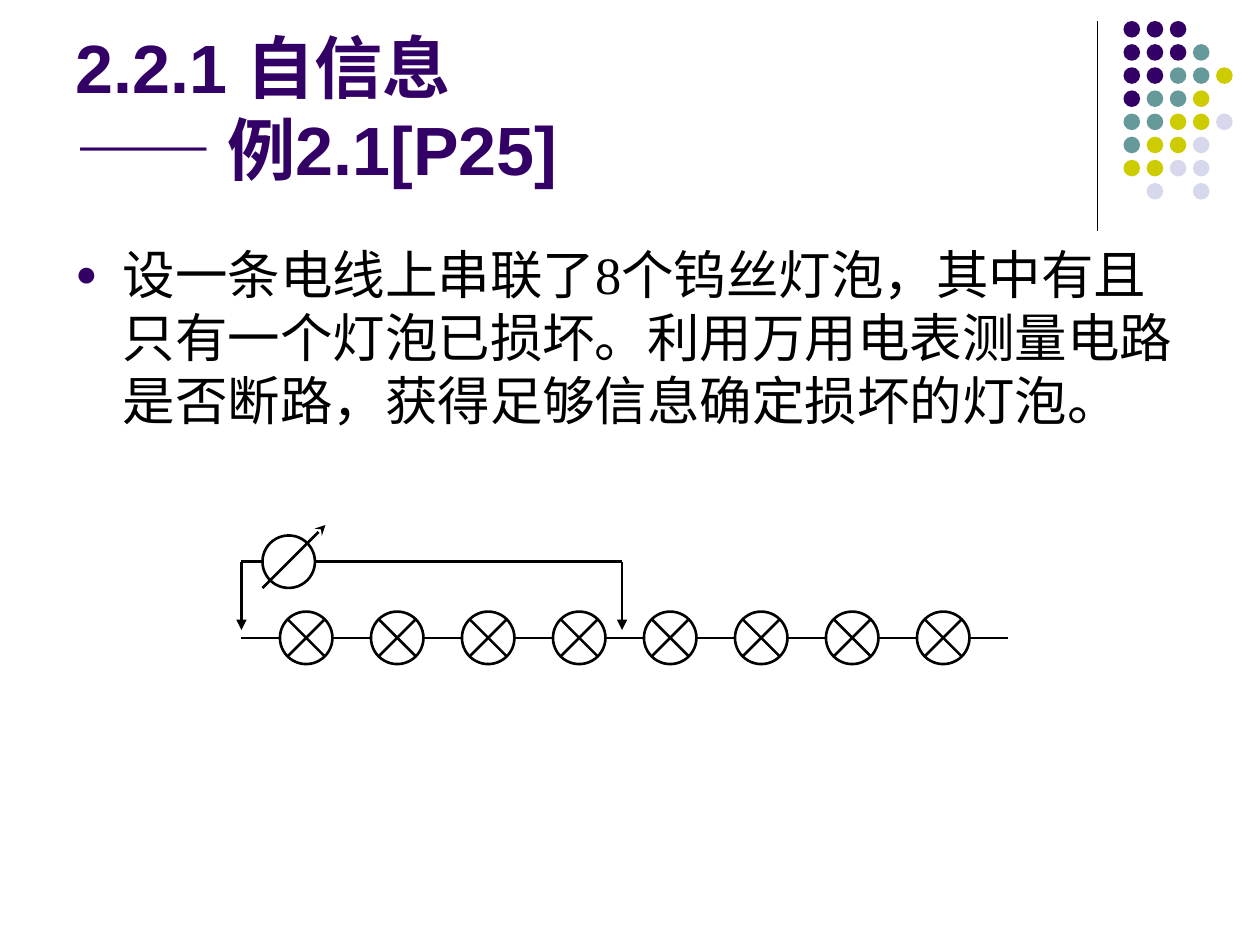
import pptx
import pptx.dml.color
import pptx.enum.shapes
import pptx.enum.text
import pptx.oxml.ns
import pptx.util
from lxml import etree

Pt = pptx.util.Pt
BLACK, PURPLE = "000000", "330066"
DOT_COLORS = {"P": PURPLE, "T": "669999", "Y": "CCCC00", "L": "D8D8EC"}
DOT_ROWS = ["PPP", "PPPT", "PPTTY", "PTTY", "TTYYL", "TYYL", "YYLL", " L L"]


def rgb(color):
    return pptx.dml.color.RGBColor.from_string(color)


def add_child(parent, tag, **attributes):
    return etree.SubElement(parent, pptx.oxml.ns.qn(tag), attributes)


def add_text(slide, box, text, size, font, color, bold=False, anchor="TOP", bullet=None):
    shape = slide.shapes.add_textbox(*map(Pt, box))
    frame = shape.text_frame
    frame.word_wrap = True
    frame.vertical_anchor = pptx.enum.text.MSO_ANCHOR[anchor]
    paragraph = frame.paragraphs[0]
    paragraph.text = text
    if bullet:
        properties = paragraph._p.get_or_add_pPr()
        properties.set("marL", str(Pt(27)))
        properties.set("indent", str(-Pt(27)))
        add_child(add_child(properties, "a:buClr"), "a:srgbClr", val=PURPLE)
        add_child(properties, "a:buSzPct", val="70000")
        add_child(properties, "a:buFont", typeface="Arial")
        add_child(properties, "a:buChar", char=bullet)
    paragraph.font.size = Pt(size)
    for run in paragraph.runs:
        run.font.size = Pt(size)
        run.font.name = font
        run.font.bold = bold
        run.font.color.rgb = rgb(color)


def add_line(slide, x1, y1, x2, y2, width=1.5, arrow=None):
    line = slide.shapes.add_connector(
        pptx.enum.shapes.MSO_CONNECTOR.STRAIGHT, Pt(x1), Pt(y1), Pt(x2), Pt(y2))
    line.line.color.rgb = rgb(BLACK)
    line.line.width = Pt(width)
    if arrow:
        add_child(line.line._get_or_add_ln(), "a:tailEnd", type=arrow)
    add_child(line._element.spPr, "a:effectLst")


def add_circle(slide, left, top, size, fill=None):
    """Draw a filled dot, or a black outline when no fill is given."""
    circle = slide.shapes.add_shape(
        pptx.enum.shapes.MSO_SHAPE.OVAL, Pt(left), Pt(top), Pt(size), Pt(size))
    circle.shadow.inherit = False
    if fill:
        circle.fill.solid()
        circle.fill.fore_color.rgb = rgb(fill)
        circle.line.fill.background()
    else:
        circle.fill.background()
        circle.line.color.rgb = rgb(BLACK)
        circle.line.width = Pt(1.5)


def add_corner_decoration(slide, left, top, height):
    pitch, dot_size = 13.22, 9.5
    add_line(slide, left, top, left, top + height, width=0.75)
    for row, codes in enumerate(DOT_ROWS):
        for column, code in enumerate(codes):
            if code in DOT_COLORS:
                add_circle(slide, left + 15 + column * pitch, top + row * pitch,
                           dot_size, DOT_COLORS[code])


def add_bulb(slide, left, top, size):
    near, far = 4.4, size - 4.4
    add_circle(slide, left, top, size)
    add_line(slide, left + near, top + near, left + far, top + far)
    add_line(slide, left + far, top + near, left + near, top + far)


def add_meter(slide, left, top, size):
    add_circle(slide, left, top, size)
    add_line(slide, left, top + size, left + size + 6, top - 6, arrow="stealth")


def add_circuit(slide, left, top, bulb_count):
    """Draw bulbs in series with a meter probing the first four."""
    size, wire = 30, 22
    pitch = size + wire
    wire_y, meter_y = top + 64.5, top + 21
    for index in range(bulb_count + 1):
        start = left + index * pitch
        add_line(slide, start, wire_y, start + wire, wire_y)
        if index < bulb_count:
            add_bulb(slide, start + wire, wire_y - size / 2, size)

    meter_left, probe_right = left + 12, left + 217.5
    add_line(slide, left, meter_y, meter_left, meter_y)
    add_meter(slide, meter_left, meter_y - size / 2, size)
    add_line(slide, meter_left + size, meter_y, probe_right, meter_y)
    for probe_x in (left, probe_right):
        add_line(slide, probe_x, meter_y, probe_x, wire_y - 4.5, arrow="triangle")


def main():
    presentation = pptx.Presentation()
    presentation.slide_width, presentation.slide_height = Pt(720), Pt(540)
    slide = presentation.slides.add_slide(presentation.slide_layouts[6])
    add_corner_decoration(slide, 627, 12, 120)
    add_text(slide, (36, 9.5, 594, 102), "2.2.1 自信息\v—— 例2.1[P25]",
             39, "Arial", PURPLE, bold=True, anchor="BOTTOM")
    add_text(slide, (36, 135, 648, 347),
             "设一条电线上串联了8个钨丝灯泡，其中有且只有一个灯泡已损坏。"
             "利用万用电表测量电路是否断路，获得足够信息确定损坏的灯泡。",
             30, "Times New Roman", BLACK, bullet="●")
    add_circuit(slide, 138, 300, 8)
    presentation.save("out.pptx")


if __name__ == "__main__":
    main()
